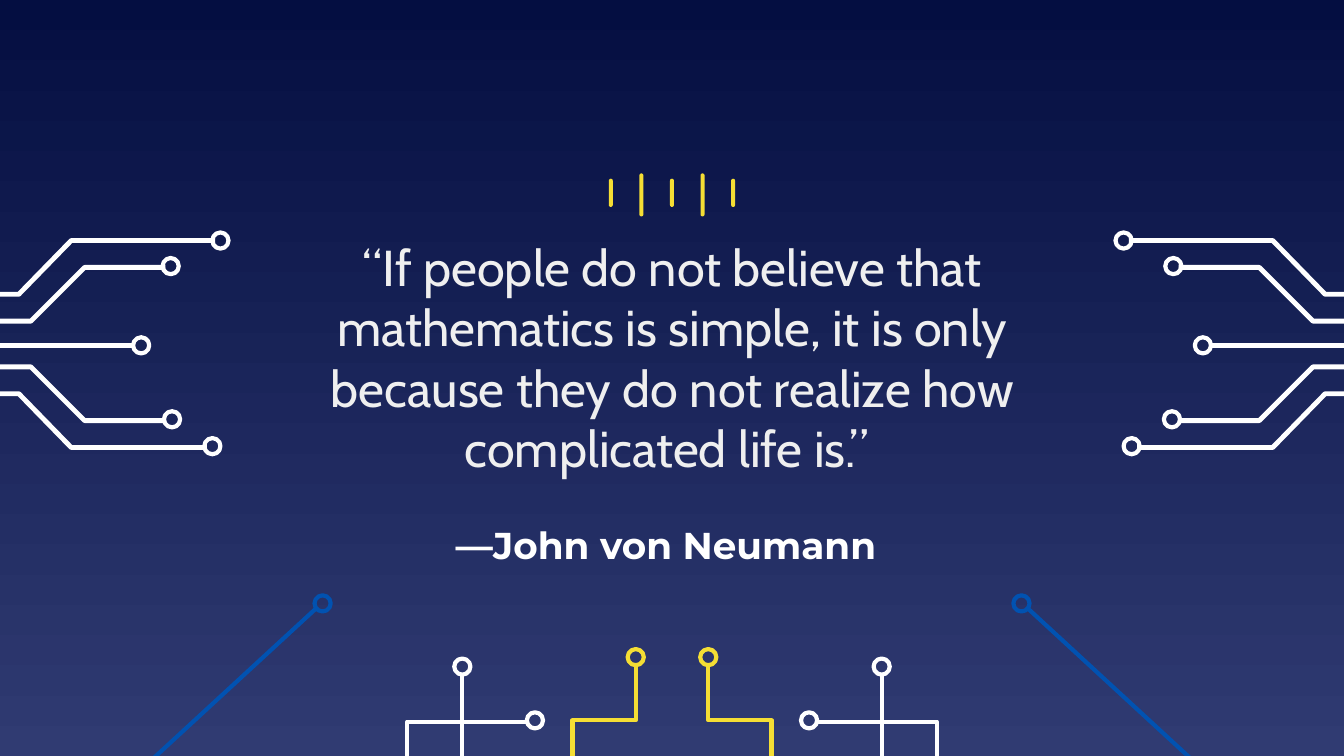
from lxml import etree
from pptx import Presentation
from pptx.dml.color import RGBColor
from pptx.enum.shapes import MSO_CONNECTOR, MSO_SHAPE
from pptx.enum.text import MSO_ANCHOR, MSO_AUTO_SIZE, PP_ALIGN
from pptx.oxml.ns import qn
from pptx.util import Inches, Pt

STRAIGHT = MSO_CONNECTOR.STRAIGHT
OVAL, ROUNDED = MSO_SHAPE.OVAL, MSO_SHAPE.ROUNDED_RECTANGLE
MIDDLE, CENTER, NO_FIT = MSO_ANCHOR.MIDDLE, PP_ALIGN.CENTER, MSO_AUTO_SIZE.NONE

SLIDE_W = 10
SLIDE_H = SLIDE_W * 9 / 16
NODE = 0.12
WHITE, YELLOW, BLUE = "FFFFFF", "F5DE34", "0152B1"

QUOTE = ("“If people do not believe that mathematics is simple, it is only "
         "because they do not realize how complicated life is.” ")
AUTHOR = "—John von Neumann "

LEFT_CIRCUITS = [
    (WHITE, 2.6, (1.64, 1.79), [(1.6, 1.79), (0.53, 1.79), (0.14, 2.19), (-0.81, 2.19)]),
    (WHITE, 2.6, (1.27, 1.98), [(1.23, 1.99), (0.63, 1.99), (0.23, 2.39), (-0.81, 2.39)]),
    (WHITE, 2.6, (1.05, 2.57), [(1, 2.57), (-0.61, 2.57)]),
    (WHITE, 2.6, (1.28, 3.12), [(1.23, 3.13), (0.63, 3.13), (0.23, 2.73), (-0.81, 2.73)]),
    (WHITE, 2.6, (1.58, 3.32), [(1.54, 3.33), (0.53, 3.33), (0.14, 2.93), (-0.81, 2.93)]),
    (YELLOW, 2.25, (4.73, 4.89), [(4.73, 4.95), (4.73, 5.36), (4.26, 5.36), (4.26, 6.47)]),
    (WHITE, 2.25, (3.98, 5.36), [(3.93, 5.37), (3.03, 5.37), (3.03, 6.47)]),
    (WHITE, 2.25, (3.44, 4.96), [(3.44, 5.02), (3.44, 5.76), (2.26, 5.76), (2.26, 6.47)]),
    (BLUE, 2.25, (2.4, 4.49), [(2.36, 4.52), (0.95, 5.82), (0, 5.82), (0, 6.23)]),
]


def rgb(value):
    """Return the colour for a hex string."""
    return RGBColor.from_string(value)


def set_background(s, top, bottom):
    """Fill the slide background with a vertical gradient."""
    fill = s.background.fill
    fill.gradient()
    fill.gradient_angle = 270
    for stop, color, position in zip(fill.gradient_stops, (top, bottom), (0, 1)):
        stop.color.rgb = rgb(color)
        stop.position = position


def style_line(sp, color, width):
    """Set the colour and width of an outline."""
    sp.line.color.rgb = rgb(color)
    sp.line.width = Pt(width)


def add_track(s, points, color, width):
    """Draw an open line through the points."""
    points = [(Inches(x), Inches(y)) for x, y in points]
    if len(points) == 2:
        sp = s.shapes.add_connector(STRAIGHT, *points[0], *points[1])
        etree.SubElement(sp._element.spPr, qn("a:effectLst"))
    else:
        builder = s.shapes.build_freeform(*points[0])
        builder.add_line_segments(points[1:], close=False)
        sp = builder.convert_to_shape()
        sp.fill.background()
        sp.shadow.inherit = False
    style_line(sp, color, width)


def add_node(s, center, color):
    """Draw the ring that ends a track."""
    x, y = center
    sp = s.shapes.add_shape(OVAL, Inches(x - NODE / 2), Inches(y - NODE / 2),
                            Inches(NODE), Inches(NODE))
    sp.fill.background()
    sp.shadow.inherit = False
    style_line(sp, color, 2.25)


def add_circuits(s):
    """Draw every circuit on the left and mirrored on the right."""
    for color, width, node, track in LEFT_CIRCUITS:
        for mirrored in (False, True):
            center, *points = [(SLIDE_W - x if mirrored else x, y)
                               for x, y in (node, *track)]
            add_track(s, points, color, width)
            add_node(s, center, color)


def add_bars(s):
    """Draw the row of alternating short and tall bars."""
    for i in range(5):
        top, height = (1.29, 0.32) if i % 2 else (1.33, 0.21)
        sp = s.shapes.add_shape(ROUNDED, Inches(4.53 + i * 0.91 / 4), Inches(top),
                                Inches(0.03), Inches(height))
        sp.adjustments[0] = 0.5
        sp.fill.solid()
        sp.fill.fore_color.rgb = rgb(YELLOW)
        sp.line.fill.background()
        sp.shadow.inherit = False


def set_text(sp, text, font, size, color, bold=False, bottom=0.1):
    """Write one centred paragraph into a shape."""
    tf = sp.text_frame
    tf.text = text
    tf.word_wrap = True
    tf.auto_size = NO_FIT
    tf.vertical_anchor = MIDDLE
    tf.margin_left = tf.margin_right = tf.margin_top = Inches(0.1)
    tf.margin_bottom = Inches(bottom)
    p = tf.paragraphs[0]
    p.alignment = CENTER
    r = p.runs[0]
    r.font.name = font
    r.font.size = Pt(size)
    r.font.bold = bold
    r.font.color.rgb = rgb(color)


def add_texts(s):
    """Place the author as title and the quote above it."""
    title = s.shapes.title
    title.left, title.top = Inches(2.84), Inches(3.76)
    title.width, title.height = Inches(4.31), Inches(0.58)
    set_text(title, AUTHOR, "Montserrat", 20, WHITE, bold=True)
    quote = s.shapes.add_textbox(Inches(1.94), Inches(1.98), Inches(6.12), Inches(1.8))
    set_text(quote, QUOTE, "Cabin", 27, "EFEFEF", bottom=0.55)


def main():
    """Build the quote slide and save it."""
    prs = Presentation()
    prs.slide_width, prs.slide_height = Inches(SLIDE_W), Inches(SLIDE_H)
    s = prs.slides.add_slide(prs.slide_layouts[5])
    set_background(s, "040E41", "303B72")
    add_circuits(s)
    add_texts(s)
    add_bars(s)
    prs.save("out.pptx")


if __name__ == "__main__":
    main()
